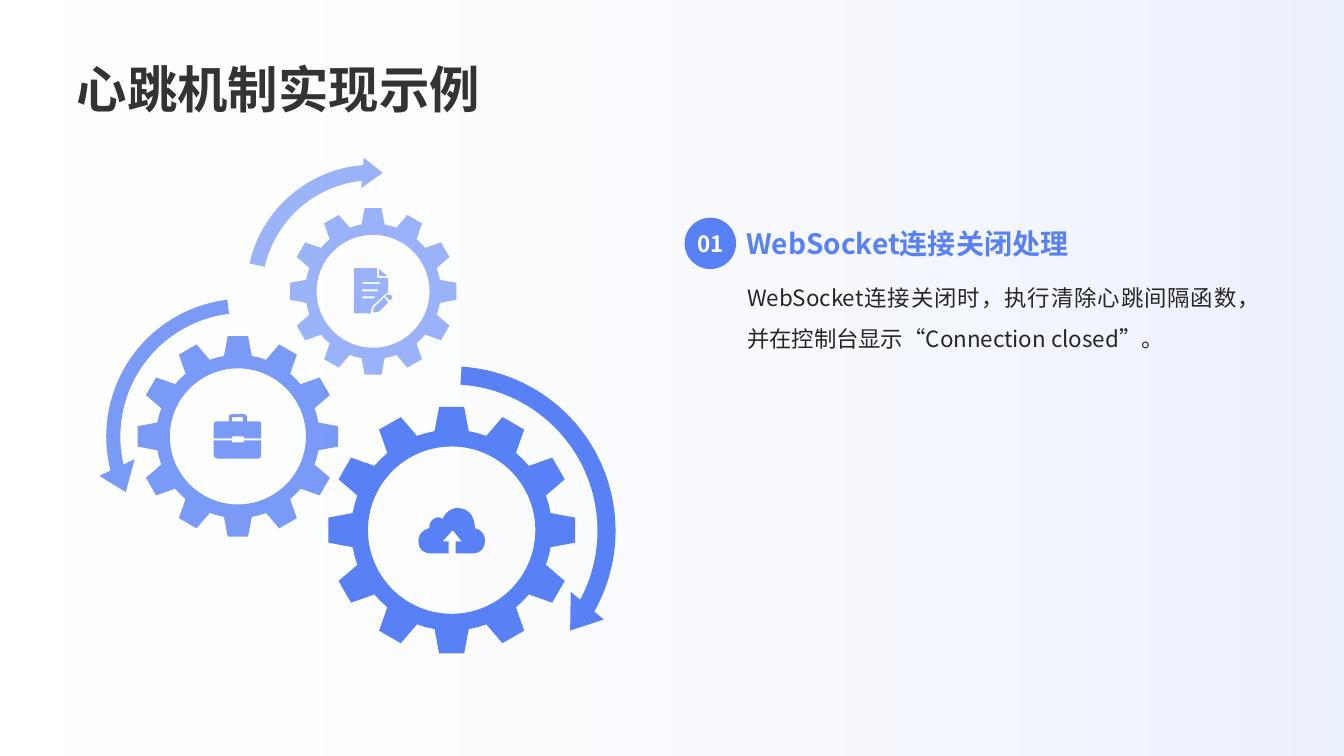
from dataclasses import dataclass
from math import cos, radians, sin

from lxml import etree
from pptx import Presentation
from pptx.dml.color import RGBColor
from pptx.enum import shapes, text
from pptx.oxml.ns import qn
from pptx.util import Inches, Pt


@dataclass(frozen=True)
class Theme:
    font: str = "Noto Sans CJK SC"
    blue: str = "5881F6"
    pale: str = "EFF3FF"
    white: str = "FFFFFF"
    title: str = "333333"
    body: str = "262626"
    title_size: int = 36
    heading_size: int = 20
    body_size: int = 16


THEME = Theme()

# Outlines in inches: a pair is a point, six numbers are a Bézier curve.
CLOUD = [[
    (4.71, 5.24), (4.71, 5.24, 4.72, 5.06, 4.56, 5.04),
    (4.43, 5.03, 4.39, 5.15, 4.39, 5.15), (4.39, 5.15, 4.35, 5.11, 4.3, 5.15),
    (4.25, 5.18, 4.26, 5.24, 4.26, 5.24), (4.26, 5.24, 4.15, 5.26, 4.15, 5.37),
    (4.15, 5.49, 4.27, 5.49, 4.27, 5.49), (4.45, 5.49), (4.45, 5.37),
    (4.39, 5.37), (4.49, 5.26), (4.58, 5.37), (4.52, 5.37), (4.52, 5.49),
    (4.69, 5.49), (4.69, 5.49, 4.8, 5.49, 4.81, 5.38),
    (4.82, 5.26, 4.71, 5.24, 4.71, 5.24),
]]
BRIEFCASE = [
    [(2.42, 4.37), (2.42, 4.38), (2.42, 4.39, 2.41, 4.39, 2.41, 4.39),
     (2.31, 4.39), (2.31, 4.39, 2.3, 4.39, 2.3, 4.38), (2.3, 4.37),
     (2.12, 4.37), (2.12, 4.51), (2.12, 4.53, 2.14, 4.55, 2.16, 4.55),
     (2.56, 4.55), (2.58, 4.55, 2.59, 4.53, 2.59, 4.51), (2.59, 4.37)],
    [(2.3, 4.35), (2.3, 4.34), (2.3, 4.33, 2.31, 4.33, 2.31, 4.33),
     (2.41, 4.33), (2.41, 4.33, 2.42, 4.33, 2.42, 4.34), (2.42, 4.35),
     (2.59, 4.35), (2.59, 4.21), (2.59, 4.19, 2.58, 4.18, 2.56, 4.18),
     (2.45, 4.18), (2.45, 4.14), (2.45, 4.12, 2.43, 4.11, 2.42, 4.11),
     (2.3, 4.11), (2.28, 4.11, 2.27, 4.12, 2.27, 4.14), (2.27, 4.18),
     (2.16, 4.18), (2.14, 4.18, 2.12, 4.19, 2.12, 4.21), (2.12, 4.35)],
    [(2.3, 4.15), (2.3, 4.14, 2.31, 4.14, 2.31, 4.14), (2.41, 4.14),
     (2.41, 4.18), (2.3, 4.18)],
]
TEXT_LINES = [
    [(3.6, top), (3.59, top, 3.59, top + 0.02, 3.6, top + 0.02),
     (right, top + 0.02), (right + 0.01, top + 0.02, right + 0.01, top, right, top)]
    for top, right in ((2.8, 3.76), (2.87, 3.74), (2.94, 3.71))
]
NOTE = [
    [(3.76, 2.67), (3.84, 2.74), (3.76, 2.74)],
    [(3.69, 3.05), (3.68, 3.09), (3.68, 3.09, 3.68, 3.1, 3.68, 3.11),
     (3.52, 3.11), (3.51, 3.1), (3.51, 2.67), (3.52, 2.66), (3.74, 2.66),
     (3.74, 2.75), (3.75, 2.76), (3.85, 2.76), (3.85, 2.9),
     (3.84, 2.91, 3.83, 2.91, 3.82, 2.92), (3.7, 3.03)],
    [(3.71, 3.05), (3.81, 2.95), (3.85, 3), (3.76, 3.09), (3.71, 3.1), (3.7, 3.09)],
    [(3.88, 2.93), (3.89, 2.94, 3.89, 2.96, 3.88, 2.97), (3.87, 2.98),
     (3.82, 2.94), (3.83, 2.93), (3.84, 2.92, 3.86, 2.92, 3.88, 2.93)],
    *TEXT_LINES,
]


def set_alphas(shape, *percents):
    """Give each colour of the shape its opacity, in order."""
    for color, percent in zip(shape.element.spPr.iter(qn("a:srgbClr")), percents):
        etree.SubElement(color, qn("a:alpha"), val=str(percent * 1000))


def paint(shape, opacity=100):
    shape.shadow.inherit = False
    shape.line.fill.background()
    shape.fill.solid()
    shape.fill.fore_color.rgb = RGBColor.from_string(THEME.blue)
    if opacity < 100:
        set_alphas(shape, opacity)


def flatten(outline, steps=8):
    """Turn the curves of an outline into short straight segments."""
    points = [outline[0]]
    for part in outline[1:]:
        if len(part) == 2:
            points.append(part)
            continue
        start, controls = points[-1], (part[:2], part[2:4], part[4:])
        for step in range(1, steps + 1):
            t = step / steps
            weights = ((1 - t) ** 3, 3 * t * (1 - t) ** 2, 3 * t * t * (1 - t), t ** 3)
            points.append(tuple(
                sum(w * p[axis] for w, p in zip(weights, (start, *controls)))
                for axis in (0, 1)))
    return points


def add_outlines(page, outlines, opacity):
    contours = [[(Inches(x), Inches(y)) for x, y in flatten(outline)]
                for outline in outlines]
    builder = page.shapes.build_freeform(*contours[0][0])
    for number, contour in enumerate(contours):
        if number:
            builder.move_to(*contour[0])
        builder.add_line_segments(contour[1:], close=True)
    paint(builder.convert_to_shape(), opacity)


def add_gear(page, x, y, radius, opacity, teeth=12):
    """Draw a toothed ring around the centre x, y."""
    def polar(share, degrees):
        angle = radians(degrees)
        return x + radius * share * sin(angle), y - radius * share * cos(angle)

    pitch = 360 / teeth
    tooth = ((0.81, -9.8), (1, -5.8), (1, 5.8), (0.81, 9.8), (0.81, 15))
    rim = [polar(share, number * pitch + turn)
           for number in range(teeth) for share, turn in tooth]
    hole = [polar(0.675, -degrees) for degrees in range(0, 360, 3)]
    add_outlines(page, [rim, hole], opacity)


def add_turn(page, left, top, size, band, head, head_angle, end, start, opacity,
             mirrored=False):
    """Draw a circular arrow; band and head in percent, angles in degrees."""
    arrow = page.shapes.add_shape(
        shapes.MSO_SHAPE.CIRCULAR_ARROW,
        Inches(left), Inches(top), Inches(size), Inches(size))
    angles = [angle * 0.6 for angle in (head_angle, end, start)]
    for number, value in enumerate([band / 100, *angles, head / 100]):
        arrow.adjustments[number] = value
    if mirrored:
        arrow.element.spPr.find(qn("a:xfrm")).set("flipH", "1")
    paint(arrow, opacity)


def write(shape, words, size, color, bold=False, anchor=text.MSO_ANCHOR.TOP,
          align=text.PP_ALIGN.LEFT, spacing=None, wrap=True):
    frame = shape.text_frame
    frame.margin_left = frame.margin_top = frame.margin_right = frame.margin_bottom = 0
    frame.word_wrap = wrap
    frame.vertical_anchor = anchor
    para = frame.paragraphs[0]
    para.text = words
    para.alignment = align
    para.line_spacing = spacing
    font = para.font
    font.name, font.size, font.bold = THEME.font, Pt(size), bold
    font.color.rgb = RGBColor.from_string(color)
    defaults = para._p.pPr.find(qn("a:defRPr"))
    etree.SubElement(defaults, qn("a:ea"), typeface=THEME.font)


def add_text(page, left, top, width, height, *args, **options):
    box = page.shapes.add_textbox(*map(Inches, (left, top, width, height)))
    write(box, *args, **options)


def add_badge(page, left, top, size, words):
    badge = page.shapes.add_shape(
        shapes.MSO_SHAPE.OVAL, Inches(left), Inches(top), Inches(size), Inches(size))
    paint(badge)
    write(badge, words, THEME.body_size, THEME.white, bold=True, wrap=False,
          anchor=text.MSO_ANCHOR.MIDDLE, align=text.PP_ALIGN.CENTER)


def add_backdrop(page, deck):
    backdrop = page.shapes.add_shape(
        shapes.MSO_SHAPE.RECTANGLE, 0, 0, deck.slide_width, deck.slide_height)
    paint(backdrop)
    backdrop.fill.gradient()
    backdrop.fill.gradient_angle = 0
    for stop, color in zip(backdrop.fill.gradient_stops, (THEME.pale, THEME.blue)):
        stop.color.rgb = RGBColor.from_string(color)
    set_alphas(backdrop, 0, 12)


def main():
    deck = Presentation()
    deck.slide_width, deck.slide_height = Inches(13.33), Inches(7.5)
    page = deck.slides.add_slide(deck.slide_layouts[6])
    add_backdrop(page, deck)
    add_text(page, 0.76, 0.39, 11.81, 0.79, "心跳机制实现示例", THEME.title_size,
             THEME.title, bold=True, anchor=text.MSO_ANCHOR.BOTTOM)

    add_gear(page, 4.48, 5.26, 1.23, 100)
    add_gear(page, 3.7, 2.89, 0.83, 60)
    add_gear(page, 2.36, 4.33, 1, 80)
    add_turn(page, 2.37, 1.56, 2.66, 5.8, 5.7, 9.67, 264.92, 192.71, 60)
    add_turn(page, 0.93, 2.84, 2.98, 4.7, 6.5, 11.47, 13.74, 276.95, 80, mirrored=True)
    add_turn(page, 2.72, 3.51, 3.51, 5.1, 6.1, 11.17, 28.86, 273.62, 100)
    for icon, opacity in ((CLOUD, 100), (NOTE, 60), (BRIEFCASE, 80)):
        add_outlines(page, icon, opacity)

    add_text(page, 7.41, 2.69, 4.87, 3.54,
             "WebSocket连接关闭时，执行清除心跳间隔函数，并在控制台显示“Connection closed”。",
             THEME.body_size, THEME.body, align=text.PP_ALIGN.JUSTIFY, spacing=1.5)
    add_text(page, 7.4, 2.16, 4.87, 0.42, "WebSocket连接关闭处理", THEME.heading_size,
             THEME.blue, bold=True, anchor=text.MSO_ANCHOR.BOTTOM)
    add_badge(page, 6.79, 2.16, 0.51, "01")
    deck.save("out.pptx")


if __name__ == "__main__":
    main()
